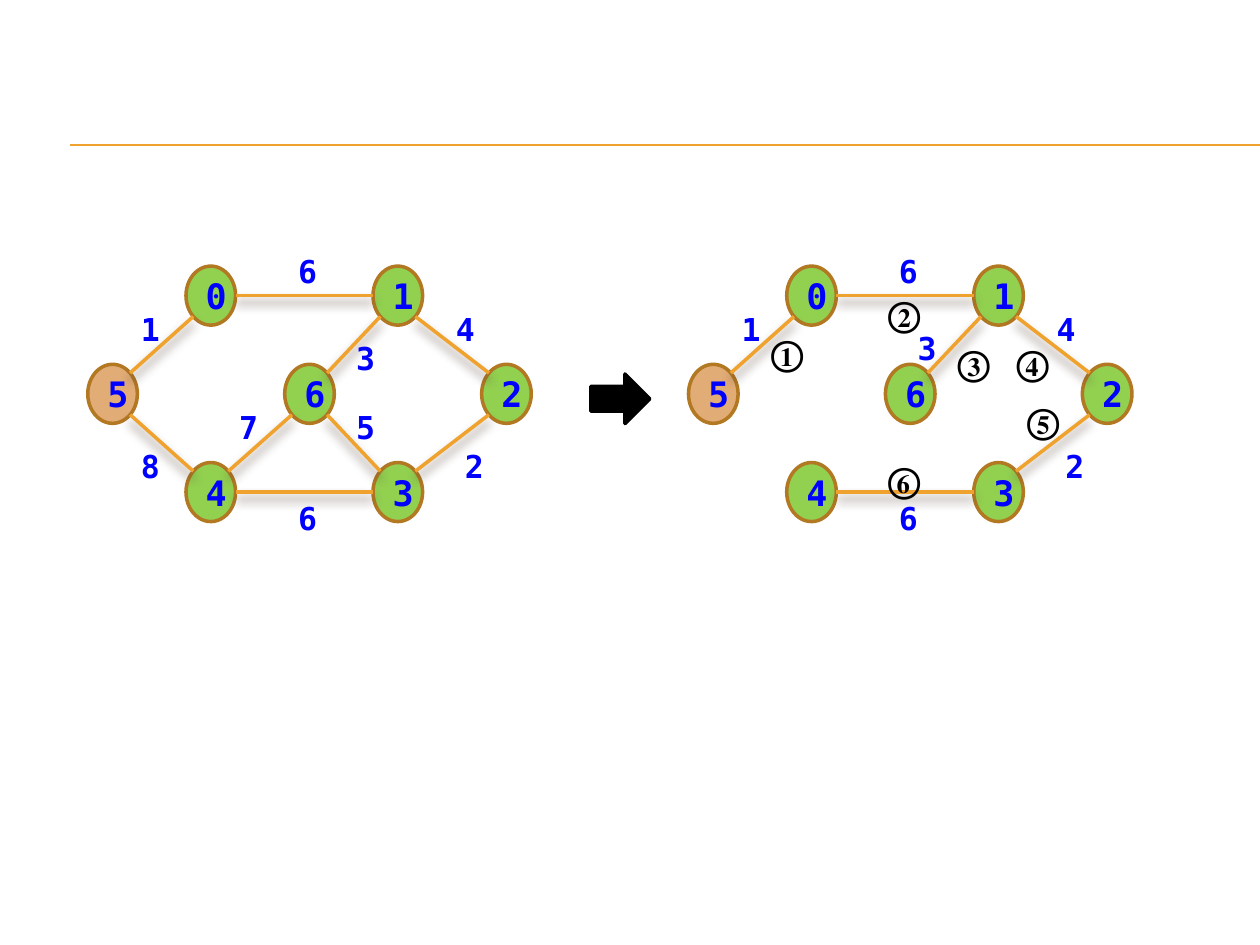
from dataclasses import dataclass
from math import sqrt

from lxml.etree import SubElement as Sub
from pptx import Presentation
from pptx.dml.color import RGBColor as Rgb
from pptx.enum.shapes import MSO_CONNECTOR as Link, MSO_SHAPE as Form
from pptx.enum.text import MSO_ANCHOR as Anchor, PP_ALIGN as Align
from pptx.oxml.ns import qn
from pptx.util import Cm, Pt


@dataclass(frozen=True)
class Theme:
    start: str = "E2AC76"
    node: str = "92D050"
    rim: str = "B27822"
    edge: str = "F0A22E"
    shade: str = "4E3B30"
    blue: str = "0000FF"
    black: str = "000000"
    mono: str = "DejaVu Sans Mono"
    serif: str = "Times New Roman"
    big: int = 20
    small: int = 18
    thin: float = 0.75
    thick: int = 2


THEME = Theme()
WIDE, HIGH = 1.0, 1.19
COLS = (0, 1.98, 3.97, 5.75, 7.94)
ROWS = (0, 1.98, 3.96)
NODES = {
    "5": (COLS[0], ROWS[1]),
    "0": (COLS[1], ROWS[0]),
    "4": (COLS[1], ROWS[2]),
    "1": (COLS[3], ROWS[0]),
    "3": (COLS[3], ROWS[2]),
    "6": (COLS[2], ROWS[1]),
    "2": (COLS[4], ROWS[1]),
}
EDGES = {
    "50": ("1", 0.32, 0.17),
    "01": ("6", 3.49, -1.0),
    "61": ("3", 4.66, 0.75),
    "64": ("7", 2.3, 2.15),
    "54": ("8", 0.32, 2.93),
    "43": ("6", 3.49, 3.97),
    "63": ("5", 4.66, 2.15),
    "12": ("4", 6.67, 0.17),
    "32": ("2", 6.85, 2.93),
}
CUT = ("64", "54", "63")
TREE = {key: val for key, val in EDGES.items() if key not in CUT}
TREE["61"] = ("3", 3.87, 0.55)
STEPS = (
    ("⑥", 17.65, 9.12),
    ("①", 15.29, 6.55),
    ("②", 17.65, 5.77),
    ("③", 19.05, 6.76),
    ("④", 20.24, 6.76),
    ("⑤", 20.45, 7.92),
)


def add_run(frame, text, size, font, color):
    run = frame.paragraphs[0].add_run()
    run.text = text
    run.font.size = Pt(size)
    run.font.bold = True
    run.font.name = font
    run.font.color.rgb = Rgb.from_string(color)
    Sub(run.font._element, qn("a:ea"), typeface=font)


def add_form(shapes, kind, box, fill, line):
    form = shapes.add_shape(kind, *map(Cm, box))
    form.shadow.inherit = False
    form.fill.solid()
    form.fill.fore_color.rgb = Rgb.from_string(fill)
    form.line.color.rgb = Rgb.from_string(line)
    form.line.width = Pt(THEME.thick)
    return form


def add_line(shapes, ends, width, shade=False):
    line = shapes.add_connector(Link.STRAIGHT, *map(Cm, ends))
    line.line.color.rgb = Rgb.from_string(THEME.edge)
    line.line.width = Pt(width)
    glow = Sub(line._element.spPr, qn("a:effectLst"))
    if shade:
        cast = Sub(glow, qn("a:outerShdw"), blurRad=str(Pt(6)),
                   dist=str(Pt(4)), dir="5400000", rotWithShape="0")
        tint = Sub(cast, qn("a:srgbClr"), val=THEME.shade)
        Sub(tint, qn("a:alpha"), val="60000")


def add_label(shapes, text, box, size, font, color, wrap):
    label = shapes.add_textbox(*map(Cm, box))
    label.text_frame.word_wrap = wrap
    add_run(label.text_frame, text, size, font, color)


def add_node(shapes, name, x, y):
    fill = THEME.start if name == "5" else THEME.node
    box = (x - WIDE / 2, y - HIGH / 2, WIDE, HIGH)
    frame = add_form(shapes, Form.OVAL, box, fill, THEME.rim).text_frame
    frame.vertical_anchor = Anchor.MIDDLE
    frame.paragraphs[0].alignment = Align.CENTER
    add_run(frame, name, THEME.big, THEME.mono, THEME.blue)


def add_edge(shapes, tail, head):
    (ax, ay), (bx, by) = tail, head
    reach = 1 if ay == by else sqrt(0.5)
    dx = reach * WIDE / 2 * (1 if bx > ax else -1)
    dy = 0 if ay == by else reach * HIGH / 2 * (1 if by > ay else -1)
    ends = (ax + dx, ay + dy, bx - dx, by - dy)
    add_line(shapes, ends, THEME.thick, shade=True)


def add_graph(slide, left, top, edges):
    shapes = slide.shapes.add_group_shape().shapes
    spots = {name: (left + x, top + y) for name, (x, y) in NODES.items()}
    for name, spot in spots.items():
        add_node(shapes, name, *spot)
    for (tail, head), (cost, x, y) in edges.items():
        add_edge(shapes, spots[tail], spots[head])
        add_label(shapes, cost, (left + x, top + y, 0.79, 1.02),
                  THEME.small, THEME.mono, THEME.blue, True)


def main():
    deck = Presentation()
    deck.slide_width, deck.slide_height = Cm(25.4), Cm(19.05)
    slide = deck.slides.add_slide(deck.slide_layouts[6])
    for y in (2.92, 2.94):
        add_line(slide.shapes, (1.42, y, 25.4, y), THEME.thin)
    add_graph(slide, 2.27, 5.96, EDGES)
    add_graph(slide, 14.38, 5.96, TREE)
    add_form(slide.shapes, Form.RIGHT_ARROW, (11.91, 7.54, 1.19, 1),
             THEME.black, THEME.black)
    for mark, x, y in STEPS:
        add_label(slide.shapes, mark, (x, y, 1.22, 1.12),
                  THEME.big, THEME.serif, THEME.black, False)
    deck.save("out.pptx")


if __name__ == "__main__":
    main()
